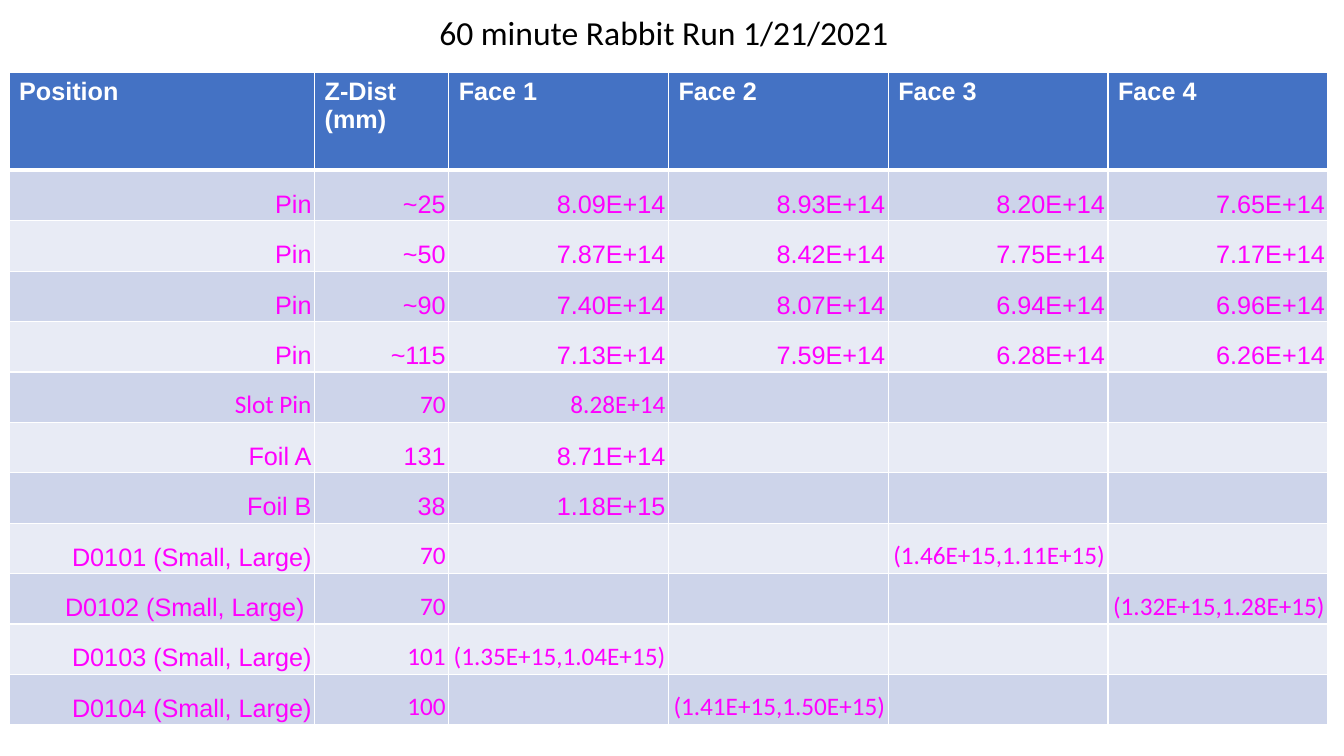
"""Build the rabbit run results slide: a title above a table of readings by face."""
import dataclasses

import lxml.etree
import pptx
import pptx.dml.color
import pptx.enum.text
import pptx.oxml.ns
import pptx.slide
import pptx.table
import pptx.text.text
import pptx.util

Inches = pptx.util.Inches
Align = pptx.enum.text.PP_ALIGN
Anchor = pptx.enum.text.MSO_ANCHOR


@dataclasses.dataclass(frozen=True)
class Theme:
    header_fill: str = "4472C4"
    bands: tuple[str, str] = ("CDD4EA", "E8EBF5")
    border: str = "FFFFFF"
    header_text: str = "FFFFFF"
    body_text: str = "FF00FF"
    title_text: str = "000000"
    sans: str = "Arial"
    alt: str = "Calibri"
    title_size: int = 24
    table_size: int = 18
    thin: int = 1
    thick: int = 3


@dataclasses.dataclass(frozen=True)
class Reading:
    position: str
    distance: str
    faces: tuple[str, ...]
    label_font: str
    value_font: str


THEME = Theme()
ARIAL = (THEME.sans, THEME.sans)
CALIBRI = (THEME.alt, THEME.alt)
MIXED = (THEME.sans, THEME.alt)

HEADERS = ("Position", "Z-Dist (mm)", "Face 1", "Face 2", "Face 3", "Face 4")
READINGS = (
    Reading("Pin", "~25", ("8.09E+14", "8.93E+14", "8.20E+14", "7.65E+14"), *ARIAL),
    Reading("Pin", "~50", ("7.87E+14", "8.42E+14", "7.75E+14", "7.17E+14"), *ARIAL),
    Reading("Pin", "~90", ("7.40E+14", "8.07E+14", "6.94E+14", "6.96E+14"), *ARIAL),
    Reading("Pin", "~115", ("7.13E+14", "7.59E+14", "6.28E+14", "6.26E+14"), *ARIAL),
    Reading("Slot Pin", "70", ("8.28E+14", "", "", ""), *CALIBRI),
    Reading("Foil A", "131", ("8.71E+14", "", "", ""), *ARIAL),
    Reading("Foil B", "38", ("1.18E+15", "", "", ""), *ARIAL),
    Reading("D0101 (Small, Large)", "70", ("", "", "(1.46E+15,1.11E+15)", ""), *MIXED),
    Reading("D0102 (Small, Large) ", "70", ("", "", "", "(1.32E+15,1.28E+15)"), *MIXED),
    Reading("D0103 (Small, Large)", "101", ("(1.35E+15,1.04E+15)", "", "", ""), *MIXED),
    Reading("D0104 (Small, Large)", "100", ("", "(1.41E+15,1.50E+15)", "", ""), *MIXED),
)
COLUMN_WIDTHS = (3.03, 1.33, 2.18, 2.18, 2.18, 2.18)
HEADER_HEIGHT = 0.97
ROW_HEIGHT = 0.5


def rgb(color: str) -> pptx.dml.color.RGBColor:
    """Turn a hex string into a colour."""
    return pptx.dml.color.RGBColor.from_string(color)


def add_run(p: pptx.text.text._Paragraph, text: str, font: str, size: int,
            color: str, bold: bool = False) -> None:
    """Add one formatted run to a paragraph."""
    r = p.add_run()
    r.text = text
    r.font.name = font
    r.font.size = pptx.util.Pt(size)
    r.font.bold = bold
    r.font.color.rgb = rgb(color)


def set_borders(cell: pptx.table._Cell, top: int, bottom: int) -> None:
    """Draw the four borders of a cell, with top and bottom widths in points."""
    tc_pr = cell._tc.get_or_add_tcPr()
    qn = pptx.oxml.ns.qn
    widths = {"a:lnL": THEME.thin, "a:lnR": THEME.thin, "a:lnT": top, "a:lnB": bottom}
    for tag, width in widths.items():
        ln = lxml.etree.SubElement(tc_pr, qn(tag), w=str(pptx.util.Pt(width)))
        fill = lxml.etree.SubElement(ln, qn("a:solidFill"))
        lxml.etree.SubElement(fill, qn("a:srgbClr"), val=THEME.border)


def fill_cell(cell: pptx.table._Cell, color: str) -> None:
    """Give a cell a solid fill."""
    cell.fill.solid()
    cell.fill.fore_color.rgb = rgb(color)


def draw_header(cell: pptx.table._Cell, text: str) -> None:
    """Format and write one heading cell."""
    set_borders(cell, THEME.thin, THEME.thick)
    fill_cell(cell, THEME.header_fill)
    add_run(cell.text_frame.paragraphs[0], text, THEME.sans, THEME.table_size,
            THEME.header_text, bold=True)


def draw_value(cell: pptx.table._Cell, text: str, font: str, row: int) -> None:
    """Format one body cell and write its text if it has any."""
    set_borders(cell, THEME.thick if row == 1 else THEME.thin, THEME.thin)
    fill_cell(cell, THEME.bands[(row - 1) % 2])
    if not text:
        return
    cell.vertical_anchor = Anchor.BOTTOM
    cell.margin_left = cell.margin_right = Inches(0.03)
    cell.margin_top = cell.margin_bottom = Inches(0.02)
    p = cell.text_frame.paragraphs[0]
    p.alignment = Align.RIGHT
    add_run(p, text, font, THEME.table_size, THEME.body_text)


def draw_table(s: pptx.slide.Slide) -> None:
    """Add the table of readings."""
    height = HEADER_HEIGHT + ROW_HEIGHT * len(READINGS)
    sp = s.shapes.add_table(len(READINGS) + 1, len(HEADERS), Inches(0.09), Inches(0.72),
                            Inches(sum(COLUMN_WIDTHS)), Inches(height))
    table = sp.table
    for column, width in zip(table.columns, COLUMN_WIDTHS):
        column.width = Inches(width)
    for i, row in enumerate(table.rows):
        row.height = Inches(ROW_HEIGHT if i else HEADER_HEIGHT)
    for col, text in enumerate(HEADERS):
        draw_header(table.cell(0, col), text)
    for row, reading in enumerate(READINGS, start=1):
        draw_value(table.cell(row, 0), reading.position, reading.label_font, row)
        for col, text in enumerate((reading.distance, *reading.faces), start=1):
            draw_value(table.cell(row, col), text, reading.value_font, row)


def draw_title(s: pptx.slide.Slide) -> None:
    """Place and write the slide title."""
    sp = s.shapes.title
    sp.left, sp.top = Inches(1.49), Inches(0.07)
    sp.width, sp.height = Inches(10.79), Inches(0.5)
    tf = sp.text_frame
    tf.word_wrap = True
    tf.auto_size = pptx.enum.text.MSO_AUTO_SIZE.SHAPE_TO_FIT_TEXT
    tf.vertical_anchor = Anchor.TOP
    tf.margin_left, tf.margin_right = Inches(0.1), Inches(0.7)
    tf.margin_top = tf.margin_bottom = Inches(0.05)
    p = tf.paragraphs[0]
    p.alignment = Align.CENTER
    add_run(p, "60 minute Rabbit Run 1/21/2021", THEME.alt, THEME.title_size,
            THEME.title_text)


def main() -> None:
    """Build and save the presentation."""
    prs = pptx.Presentation()
    prs.slide_width, prs.slide_height = Inches(13.33), Inches(7.5)
    s = prs.slides.add_slide(prs.slide_layouts.get_by_name("Title Only"))
    draw_title(s)
    draw_table(s)
    prs.save("out.pptx")


if __name__ == "__main__":
    main()
